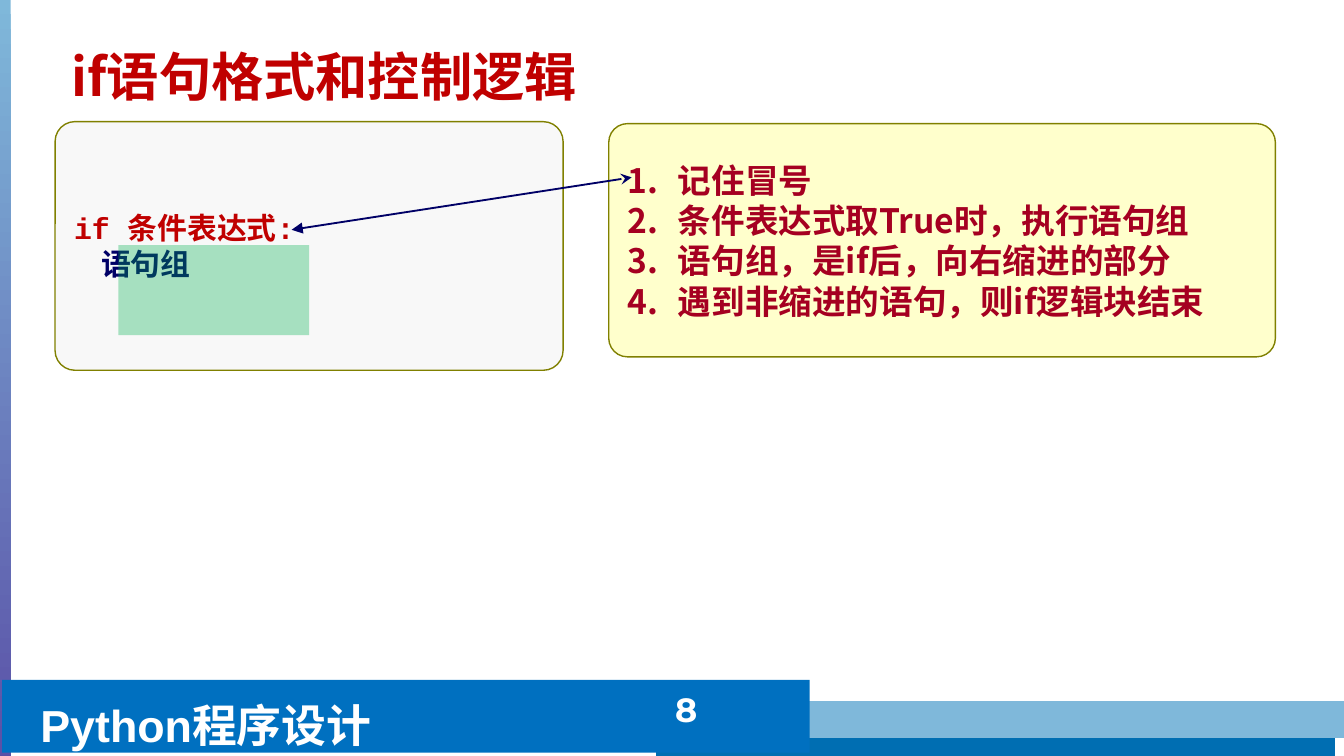
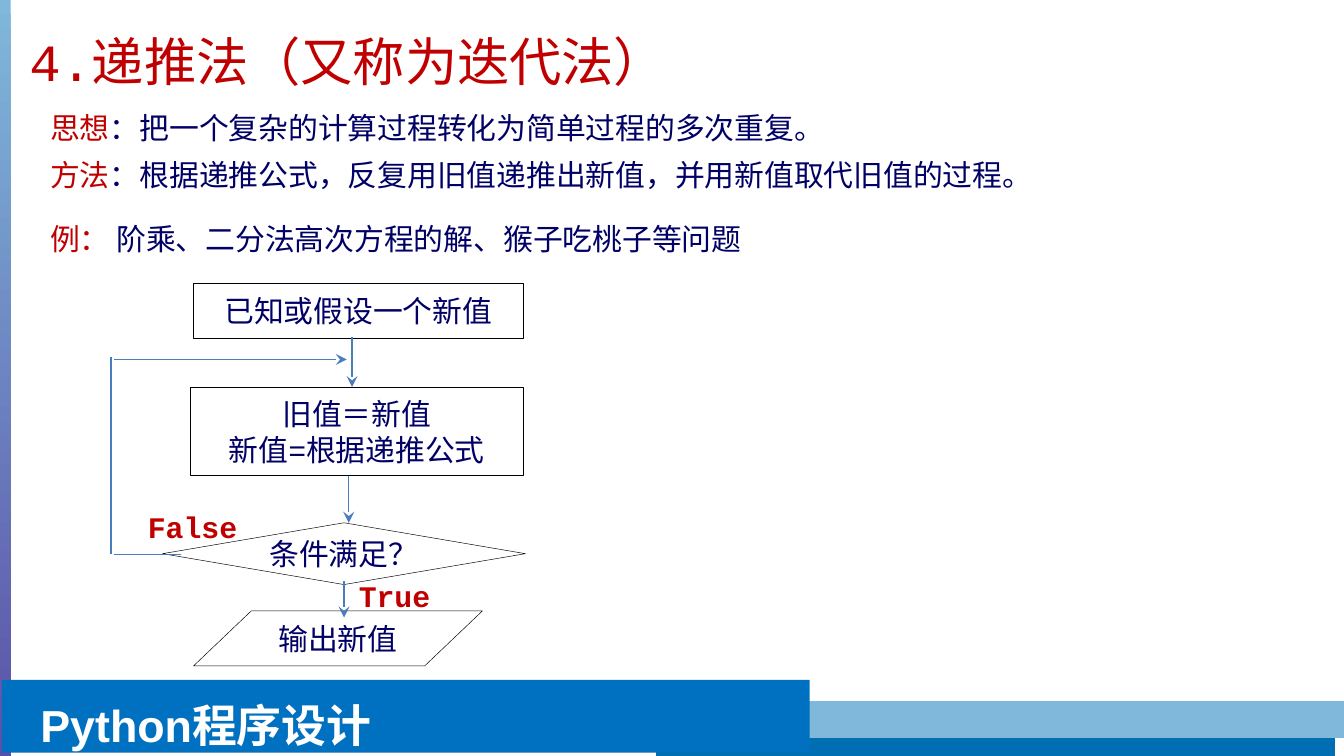
from lxml import etree
from pptx import Presentation
from pptx.dml.color import RGBColor
from pptx.enum.shapes import MSO_CONNECTOR, MSO_SHAPE
from pptx.enum.text import MSO_ANCHOR, PP_ALIGN
from pptx.oxml.ns import qn
from pptx.util import Inches, Pt

# Colours
WHITE = RGBColor(0xFF, 0xFF, 0xFF)
BLACK = RGBColor(0, 0, 0)
RED = RGBColor(0xC0, 0, 0)
CRIMSON = RGBColor(0xA5, 0, 0x21)
NAVY = RGBColor(0, 0, 0x66)
OLIVE = RGBColor(0x80, 0x80, 0)
PALE_GREY = RGBColor(0xF8, 0xF8, 0xF8)
PALE_YELLOW = RGBColor(0xFF, 0xFF, 0xCC)
GREEN = RGBColor(0, 0xB0, 0x50)
BAND_BLUE = RGBColor(0, 0x70, 0xC0)
DEEP_BLUE = RGBColor(0, 0x6E, 0xB2)
LIGHT_BLUE = RGBColor(0x7F, 0xB8, 0xDA)
PURPLE = RGBColor(0x4E, 0x2E, 0x96)
FLOW_BLUE = RGBColor(0x4A, 0x7E, 0xBB)

# Fonts
ARIAL = "Arial"
COURIER = "Courier New"
MONTSERRAT = "Montserrat"
NOTO = "Noto Sans CJK SC"
NOTO_JP = "Noto Sans CJK JP"

# Enum members
RECT = MSO_SHAPE.RECTANGLE
ROUNDED = MSO_SHAPE.ROUNDED_RECTANGLE
DECISION = MSO_SHAPE.FLOWCHART_DECISION
DATA = MSO_SHAPE.FLOWCHART_DATA
STRAIGHT = MSO_CONNECTOR.STRAIGHT
TOP, MIDDLE, BOTTOM = MSO_ANCHOR.TOP, MSO_ANCHOR.MIDDLE, MSO_ANCHOR.BOTTOM
LEFT, CENTER = PP_ALIGN.LEFT, PP_ALIGN.CENTER

# Grid: 100 columns by 56.25 rows of equal size (16:9)
COLUMNS, ROWS = 100, 56.25
CELL = Inches(0.1)
INSET = (1, 0.5, 1, 0.5)
NO_INSET = (0, 0, 0, 0)


def cells(*counts):
    return [round(count * CELL) for count in counts]


def write(frame, paragraphs, font=COURIER, asian=NOTO, size=16, color=NAVY,
          bold=False, align=LEFT, spacing=1.0, before=0, anchor=TOP,
          inset=INSET, numbered=False):
    """Fill a frame; each paragraph is a string or a list of (text, color)."""
    frame.word_wrap = True
    frame.vertical_anchor = anchor
    (frame.margin_left, frame.margin_top,
     frame.margin_right, frame.margin_bottom) = cells(*inset)
    for index, content in enumerate(paragraphs):
        para = frame.paragraphs[0] if index == 0 else frame.add_paragraph()
        para.alignment = align
        para.line_spacing = spacing
        if index and before:
            para.space_before = Pt(before)
        if numbered:
            properties = para._p.get_or_add_pPr()
            hang = cells(3.75)[0]
            properties.set("marL", str(hang))
            properties.set("indent", str(-hang))
            etree.SubElement(properties, qn("a:buFont"), typeface="+mj-lt")
            etree.SubElement(properties, qn("a:buAutoNum"), type="arabicPeriod")
        parts = [(content, color)] if isinstance(content, str) else content
        for text, shade in parts:
            span = para.add_run()
            span.text = text
            span.font.name = font
            span.font.size = Pt(size)
            span.font.bold = bold
            span.font.color.rgb = shade
            etree.SubElement(span._r.get_or_add_rPr(), qn("a:ea"), typeface=asian)


class Builder:
    def __init__(self):
        self.deck = Presentation()
        self.deck.slide_width, self.deck.slide_height = cells(COLUMNS, ROWS)
        self.page = None

    def new_page(self):
        self.page = self.deck.slides.add_slide(self.deck.slide_layouts[6])
        # Gradient strip on the left edge
        strip = self.shape(RECT, -0.2, 0, 1, 74.5)
        strip.fill.gradient()
        strip.fill.gradient_angle = 270
        for position, color in enumerate((LIGHT_BLUE, PURPLE)):
            stop = strip.fill.gradient_stops[position]
            stop.color.rgb = color
            stop.position = position
        # Footer bands and course name
        self.line(48.8, 55.45, 99.3, 55.45, DEEP_BLUE, 16)
        self.line(47.4, 53.55, 100.4, 53.55, LIGHT_BLUE, 20)
        band = self.shape(RECT, 0.15, 50.6, 60.1, 5.4, fill=BAND_BLUE)
        write(band.text_frame, ["Python程序设计"], font=ARIAL, asian=NOTO_JP,
              size=24, color=WHITE, bold=True, spacing=1.2,
              inset=(2.85, 0.55, 1, 0.5))

    def shape(self, kind, left, top, width, height, fill=None, outline=None,
              weight=0.75, opacity=None, radius=None):
        box = self.page.shapes.add_shape(kind, *cells(left, top, width, height))
        box.shadow.inherit = False
        if radius is not None:
            box.adjustments[0] = radius
        if fill is None:
            box.fill.background()
        else:
            box.fill.solid()
            box.fill.fore_color.rgb = fill
        if opacity is not None:
            color = box._element.spPr.find(qn("a:solidFill"))[0]
            etree.SubElement(color, qn("a:alpha"), val=str(opacity * 1000))
        if outline is None:
            box.line.fill.background()
        else:
            box.line.color.rgb = outline
            box.line.width = Pt(weight)
        return box

    def text(self, left, top, width, height, paragraphs, **style):
        box = self.page.shapes.add_textbox(*cells(left, top, width, height))
        write(box.text_frame, paragraphs, **style)

    def title(self, left, top, width, height, text, **style):
        self.text(left, top, width, height, [text], size=28, color=RED,
                  anchor=BOTTOM, **style)

    def line(self, x1, y1, x2, y2, color=FLOW_BLUE, weight=0.75,
             head=None, tail=None):
        link = self.page.shapes.add_connector(STRAIGHT, *cells(x1, y1, x2, y2))
        link.line.color.rgb = color
        link.line.width = Pt(weight)
        outline = link._element.spPr.find(qn("a:ln"))
        for tag, kind in (("a:headEnd", head), ("a:tailEnd", tail)):
            if kind:
                etree.SubElement(outline, qn(tag), type=kind)
        etree.SubElement(link._element.spPr, qn("a:effectLst"))

    def flow_step(self, kind, left, top, width, height, paragraphs):
        box = self.shape(kind, left, top, width, height, outline=BLACK, weight=0.25)
        write(box.text_frame, paragraphs, align=CENTER, anchor=MIDDLE,
              inset=NO_INSET)

    def flow_label(self, left, top, width, height, text):
        self.text(left, top, width, height, [text], color=RED, bold=True,
                  anchor=MIDDLE, inset=NO_INSET)


def build_if_page(builder):
    builder.new_page()
    builder.title(4.35, 2.65, 74, 5.8, "if语句格式和控制逻辑", font=NOTO,
                  bold=True, spacing=1.2)
    builder.text(47.05, 50.2, 8, 3.1, ["8"], font=MONTSERRAT, size=18,
                 color=WHITE, bold=True, align=CENTER, spacing=1.2)
    # Code panel with the indented block highlighted
    code = builder.shape(ROUNDED, 4.1, 9.05, 37.8, 18.5, fill=PALE_GREY,
                         outline=OLIVE, radius=0.08)
    write(code.text_frame, [[("if 条件表达式:", RED)], "    语句组"],
          bold=True, anchor=MIDDLE)
    builder.shape(RECT, 8.8, 18.25, 14.2, 6.7, fill=GREEN, opacity=33)
    # Rules panel
    rules = builder.shape(ROUNDED, 45.3, 9.2, 49.6, 17.35, fill=PALE_YELLOW,
                          outline=OLIVE, radius=0.08)
    write(rules.text_frame,
          ["记住冒号", "条件表达式取True时，执行语句组",
           "语句组，是if后，向右缩进的部分", "遇到非缩进的语句，则if逻辑块结束"],
          font=NOTO, size=18, color=CRIMSON, bold=True, anchor=MIDDLE,
          numbered=True)
    builder.line(47, 13.2, 21.7, 17.1, NAVY, 1, head="stealth", tail="triangle")


def build_iteration_page(builder):
    builder.new_page()
    builder.title(1.2, 0, 90, 7.35, "4.递推法（又称为迭代法）")
    # Idea, method and examples
    builder.text(2.75, 7.7, 96, 8.3, [
        [("思想", RED), ("：把一个复杂的计算过程转化为简单过程的多次重复。", NAVY)],
        [("方法", RED),
         ("：根据递推公式，反复用旧值递推出新值，并用新值取代旧值的过程。", NAVY)],
    ], before=6)
    builder.text(2.75, 15.95, 66.1, 3.7, [
        [("例： ", RED), ("阶乘、二分法高次方程的解、猴子吃桃子等问题", NAVY)]])
    # Flowchart steps
    builder.flow_step(RECT, 14.4, 21.05, 24.55, 4.1, ["已知或假设一个新值"])
    builder.flow_step(RECT, 14.15, 28.8, 24.8, 6.6,
                      ["旧值＝新值", "新值=根据递推公式"])
    builder.flow_step(DECISION, 12.1, 38.9, 27, 4.6, ["条件满足？"])
    builder.flow_step(DATA, 14.4, 45.45, 21.5, 4.1, ["输出新值"])
    # Downward arrows
    for x, start, end in ((26.2, 25.1, 28.8), (25.95, 35.4, 38.9),
                          (25.6, 43.25, 45.95)):
        builder.line(x, start, x, end, tail="stealth")
    # Loop back to the update step
    builder.line(13.5, 41.25, 8.5, 41.25)
    builder.line(8.25, 26.6, 8.25, 41.25)
    builder.line(25.8, 26.75, 8.5, 26.75, head="stealth")
    builder.flow_label(11, 37.15, 7.5, 4.1, "False")
    builder.flow_label(26.7, 43.2, 15.3, 2.3, "True")


def main():
    builder = Builder()
    build_if_page(builder)
    build_iteration_page(builder)
    builder.deck.save("out.pptx")


if __name__ == "__main__":
    main()
